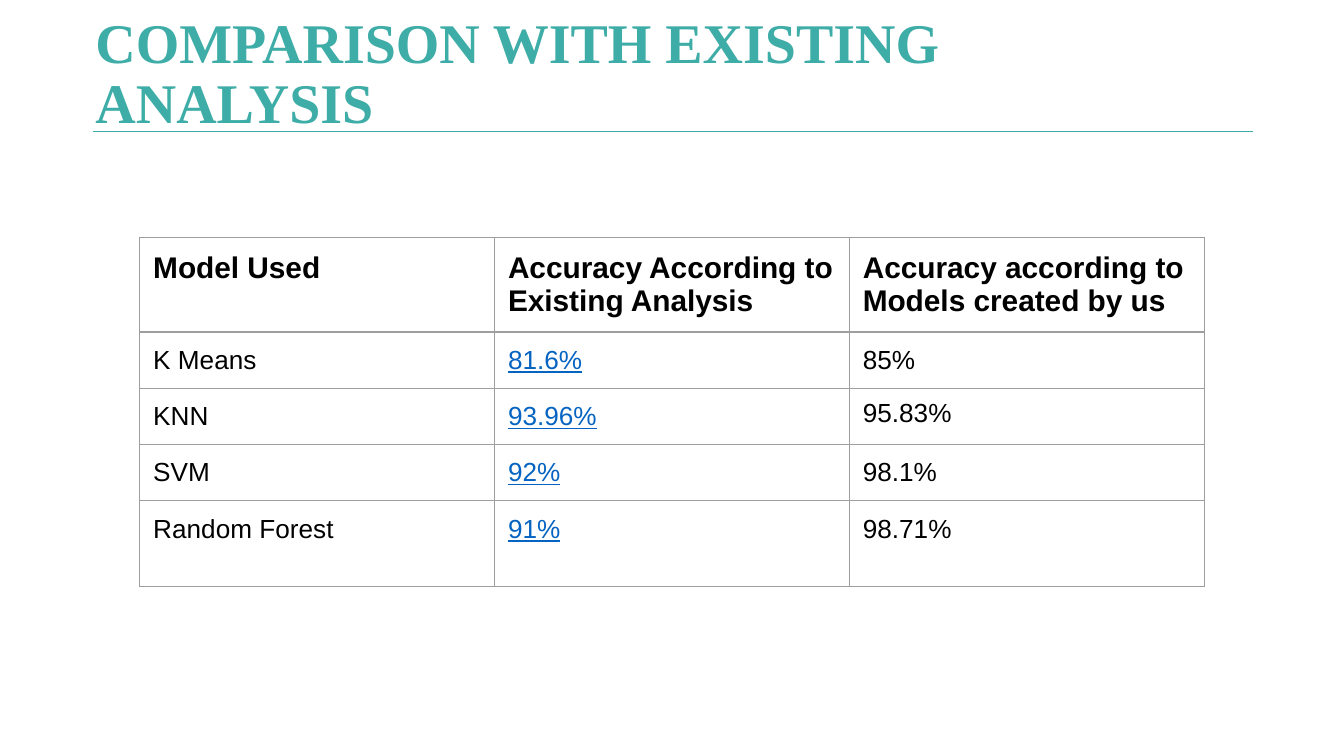
from lxml import etree
from pptx import Presentation
from pptx.dml.color import RGBColor
from pptx.enum.shapes import MSO_CONNECTOR
from pptx.enum.text import MSO_ANCHOR, MSO_AUTO_SIZE, PP_ALIGN
from pptx.oxml.ns import qn
from pptx.util import Inches, Pt

STRAIGHT = MSO_CONNECTOR.STRAIGHT
MIDDLE = MSO_ANCHOR.MIDDLE
NO_AUTOFIT = MSO_AUTO_SIZE.NONE
LEFT = PP_ALIGN.LEFT

TITLE_TEAL = RGBColor(0x3E, 0xAD, 0xA7)
RULE_TEAL = RGBColor(0x3D, 0xAC, 0xA7)
BORDER_GREY = RGBColor(0x9E, 0x9E, 0x9E)
REFERENCE_BLUE = RGBColor(0x05, 0x63, 0xC1)
BLACK = RGBColor(0, 0, 0)

TABLE_WIDTH = 7.92
MODEL_ROW = 5 / 12
ROW_HEIGHTS = [0.7, MODEL_ROW, MODEL_ROW, MODEL_ROW, 0.64]
ACCURACIES = [
    ("Model Used", "Accuracy According to Existing Analysis",
     "Accuracy according to Models created by us"),
    ("K Means", "81.6%", "85%"),
    ("KNN", "93.96%", "95.83%"),
    ("SVM", "92%", "98.1%"),
    ("Random Forest", "91%", "98.71%"),
]


class ComparisonSlide:
    heading_font = "Times New Roman"
    body_font = "Arial"
    line_width = Pt(0.75)
    cell_margin = Inches(0.1)

    def __init__(self, deck):
        self.slide = deck.slides.add_slide(deck.slide_layouts[5])

    def style(self, paragraph, font_name, size, color, bold=False, underline=False):
        for run in paragraph.runs:
            run.font.name = font_name
            run.font.size = Pt(size)
            run.font.color.rgb = color
            run.font.bold = bold
            run.font.underline = underline

    def title(self, text, left, top, width, height):
        heading = self.slide.shapes.title
        heading.left, heading.top = Inches(left), Inches(top)
        heading.width, heading.height = Inches(width), Inches(height)
        frame = heading.text_frame
        frame.text = text
        frame.word_wrap = True
        frame.auto_size = NO_AUTOFIT
        frame.vertical_anchor = MIDDLE
        frame.margin_left = frame.margin_right = Inches(0.07)
        frame.margin_top = frame.margin_bottom = Inches(0.04)
        paragraph = frame.paragraphs[0]
        paragraph.alignment = LEFT
        paragraph.line_spacing = 0.9
        self.style(paragraph, self.heading_font, 30, TITLE_TEAL, bold=True)

    def rule(self, left, right, y):
        rule = self.slide.shapes.add_connector(
            STRAIGHT, Inches(left), Inches(y), Inches(right), Inches(y))
        rule.line.color.rgb = RULE_TEAL
        rule.line.width = self.line_width
        etree.SubElement(rule._element.spPr, qn("a:effectLst"))

    def border(self, cell):
        properties = cell._tc.get_or_add_tcPr()
        for position, side in enumerate(("a:lnL", "a:lnR", "a:lnT", "a:lnB")):
            edge = etree.Element(qn(side), w=str(self.line_width))
            fill = etree.SubElement(edge, qn("a:solidFill"))
            etree.SubElement(fill, qn("a:srgbClr"), val=str(BORDER_GREY))
            properties.insert(position, edge)

    def cell(self, cell, text, is_header, is_reference):
        cell.text_frame.text = text
        cell.margin_left = cell.margin_right = self.cell_margin
        cell.margin_top = cell.margin_bottom = self.cell_margin
        cell.fill.background()
        self.border(cell)
        self.style(cell.text_frame.paragraphs[0], self.body_font,
                   16 if is_header else 14,
                   REFERENCE_BLUE if is_reference else BLACK,
                   bold=is_header, underline=is_reference)

    def table(self, rows, left, top, width, heights):
        table = self.slide.shapes.add_table(
            len(rows), len(rows[0]), Inches(left), Inches(top),
            Inches(width), Inches(sum(heights))).table
        table.first_row = False
        table.horz_banding = False
        for row_index, (values, height) in enumerate(zip(rows, heights)):
            table.rows[row_index].height = Inches(height)
            for column_index, value in enumerate(values):
                is_header = row_index == 0
                self.cell(table.cell(row_index, column_index), value, is_header,
                          column_index == 1 and not is_header)
        return table


def main():
    deck = Presentation()
    deck.slide_width = Inches(10)
    deck.slide_height = deck.slide_width * 9 // 16
    comparison = ComparisonSlide(deck)
    comparison.rule(0.69, 9.32, 0.98)
    comparison.title("COMPARISON WITH EXISTING ANALYSIS", 0.64, 0.14, 8.24, 0.84)
    accuracy_table = comparison.table(ACCURACIES, 1.04, 1.77, TABLE_WIDTH, ROW_HEIGHTS)
    knn_result = accuracy_table.cell(2, 2).text_frame.paragraphs[0]
    knn_result.line_spacing = 0.9
    knn_result.space_before = Pt(8)
    deck.save("out.pptx")


if __name__ == "__main__":
    main()
